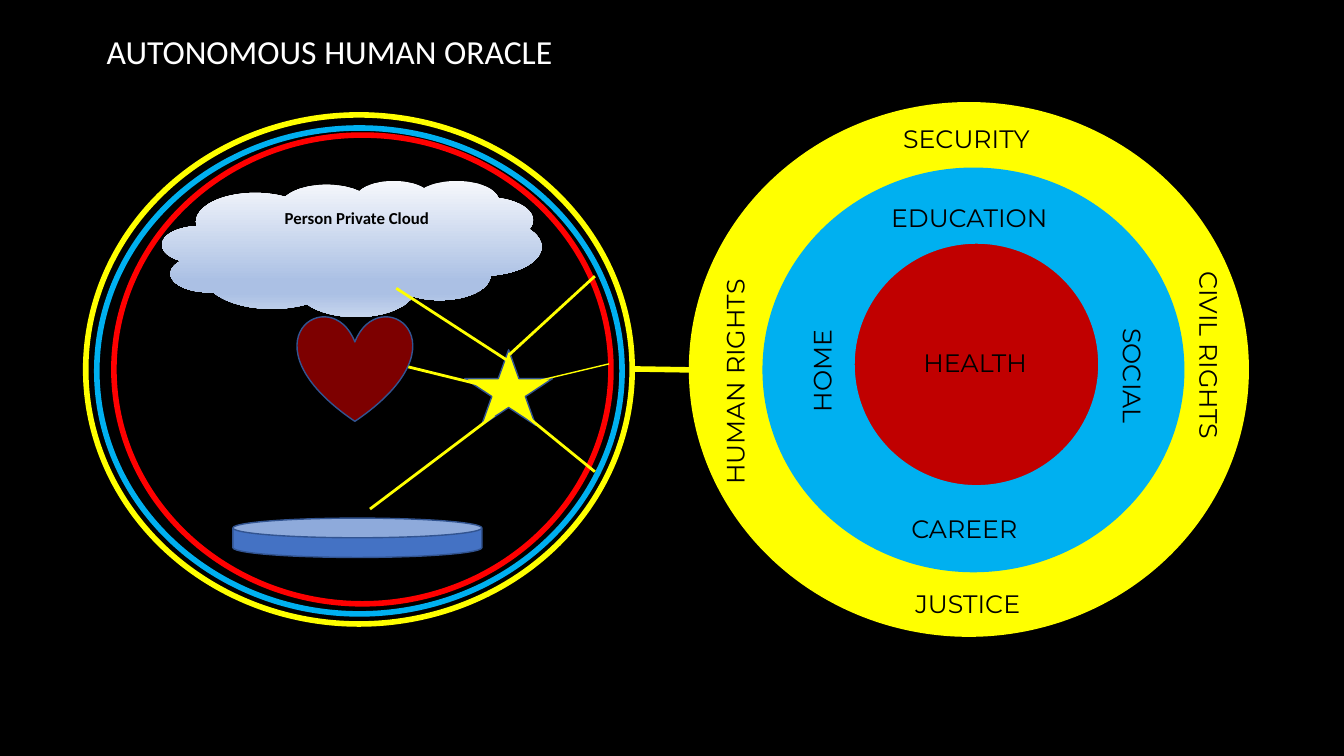
from pptx import Presentation
from pptx.dml.color import RGBColor
from pptx.enum.shapes import MSO_CONNECTOR, MSO_SHAPE
from pptx.enum.text import MSO_AUTO_SIZE, PP_ALIGN
from pptx.oxml import parse_xml
from pptx.oxml.ns import nsdecls, qn
from pptx.util import Inches, Pt
from lxml.etree import SubElement

YELLOW, BLUE, RED, OUTLINE = "FFFF00", "00B0F0", "FF0000", "325491"
BLACK, WHITE = "000000", "FFFFFF"

CLOUD = (1.61, 1.79, 3.76, 1.35)
CLOUD_STOPS = [(0, "F6F8FC"), (74, "ABC0E4"), (83, "ABC0E4"), (100, "C7D5ED")]
CAN = (2.31, 5.14, 2.47, 0.39)
HEART = (2.95, 3.13, 1.14, 1.05)
STAR = (4.61, 3.47, 0.87, 0.75)
RINGS = [
    ((1.13, 1.34, 4.93, 4.65), RED),
    ((0.96, 1.27, 5.21, 4.82), BLUE),
    ((0.85, 1.14, 5.42, 5.05), YELLOW),
]
DISCS = [
    ((6.86, 1.04, 5.5, 5.25), YELLOW, YELLOW),
    ((7.59, 1.69, 4.13, 3.96), BLUE, BLUE),
    ((8.45, 2.39, 2.47, 2.45), "C00000", BLUE),
]
RAYS = [
    ((5.37, 3.77), (6.04, 3.61), 1),
    ((5.2, 4.11), (5.9, 4.68), 2),
    ((5.05, 3.52), (5.9, 2.74), 2),
    ((3.67, 5.05), (4.9, 4.12), 2),
    ((4.05, 3.64), (4.78, 3.82), 2),
    ((3.93, 2.86), (5.07, 3.6), 2),
    ((6.27, 3.66), (6.86, 3.67), 4),
]
LEFT, CENTER = PP_ALIGN.LEFT, PP_ALIGN.CENTER
LABELS = [
    ("SECURITY", (8.35, 1.17, 2.47), 0, CENTER),
    ("CIVIL RIGHTS", (10.93, 3.46, 2.13), 90, LEFT),
    ("HUMAN RIGHTS", (6.04, 3.46, 2.49), 270, LEFT),
    ("JUSTICE", (8.98, 5.79, 1.58), 0, LEFT),
    ("HEALTH", (9.06, 3.4, 1.53), 0, LEFT),
    ("EDUCATION", (8.74, 1.96, 1.97), 0, LEFT),
    ("CAREER", (8.94, 5.04, 1.62), 0, LEFT),
    ("HOME", (6.95, 3.48, 2.4), 270, CENTER),
    ("SOCIAL", (10.17, 3.53, 2.13), 90, CENTER),
]


def rgb(color):
    return RGBColor.from_string(color)


def add_shape(s, kind, box, fill=None, line=None, width=1):
    sp = s.shapes.add_shape(kind, *map(Inches, box))
    sp.shadow.inherit = False
    if fill:
        sp.fill.solid()
        sp.fill.fore_color.rgb = rgb(fill)
    else:
        sp.fill.background()
    if line:
        sp.line.color.rgb = rgb(line)
        sp.line.width = Pt(width)
    else:
        sp.line.fill.background()
    return sp


def add_gradient(sp, stops):
    props = sp.fill._xPr
    gs = "".join(f'<a:gs pos="{pos * 1000}"><a:srgbClr val="{color}"/></a:gs>'
                 for pos, color in stops)
    grad = parse_xml(f'<a:gradFill {nsdecls("a")} rotWithShape="1"><a:gsLst>{gs}</a:gsLst>'
                     '<a:lin ang="5400000" scaled="0"/></a:gradFill>')
    props.replace(props.find(qn("a:noFill")), grad)


def add_line(s, start, end, width):
    ln = s.shapes.add_connector(MSO_CONNECTOR.STRAIGHT, *map(Inches, start + end))
    ln.line.color.rgb = rgb(YELLOW)
    ln.line.width = Pt(width)
    SubElement(ln._element.spPr, qn("a:effectLst"))


def add_text(s, text, box, size=18, font="Montserrat", color=BLACK, bold=False,
             align=LEFT, rotation=0):
    tb = s.shapes.add_textbox(*map(Inches, box))
    tb.rotation = rotation
    tf = tb.text_frame
    tf.word_wrap = True
    tf.auto_size = MSO_AUTO_SIZE.SHAPE_TO_FIT_TEXT
    p = tf.paragraphs[0]
    p.alignment = align
    r = p.add_run()
    r.text = text
    r.font.size, r.font.name, r.font.bold = Pt(size), font, bold
    r.font.color.rgb = rgb(color)


def main():
    """Build the slide of the human oracle and its circles of life."""
    prs = Presentation()
    prs.slide_width, prs.slide_height = Inches(13.33), Inches(7.5)
    s = prs.slides.add_slide(prs.slide_layouts[6])
    s.background.fill.solid()
    s.background.fill.fore_color.rgb = rgb(BLACK)

    add_gradient(add_shape(s, MSO_SHAPE.CLOUD, CLOUD), CLOUD_STOPS)
    can = add_shape(s, MSO_SHAPE.CAN, CAN, "4472C4", OUTLINE)
    can.adjustments[0] = 0.5
    heart = add_shape(s, MSO_SHAPE.HEART, HEART, RED, OUTLINE)
    heart_color = heart.fill._xPr.find(qn("a:solidFill"))[0]
    SubElement(heart_color, qn("a:alpha"), val="49000")
    add_text(s, "Person Private Cloud", (2.62, 2.01, 1.84, 0.3), size=12,
             font="Calibri", bold=True, align=CENTER)

    for box, color in RINGS:
        add_shape(s, MSO_SHAPE.OVAL, box, line=color, width=4)
    add_shape(s, MSO_SHAPE.STAR_5_POINT, STAR, YELLOW, OUTLINE)
    for box, fill, line in DISCS:
        add_shape(s, MSO_SHAPE.OVAL, box, fill, line, 4)
    for start, end, width in RAYS:
        add_line(s, start, end, width)
    for text, box, rotation, align in LABELS:
        add_text(s, text, box + (0.4,), rotation=rotation, align=align)
    add_text(s, "AUTONOMOUS HUMAN ORACLE", (0.96, 0.26, 8.6, 0.5), size=24,
             font="Calibri", color=WHITE)
    prs.save("out.pptx")


if __name__ == "__main__":
    main()
